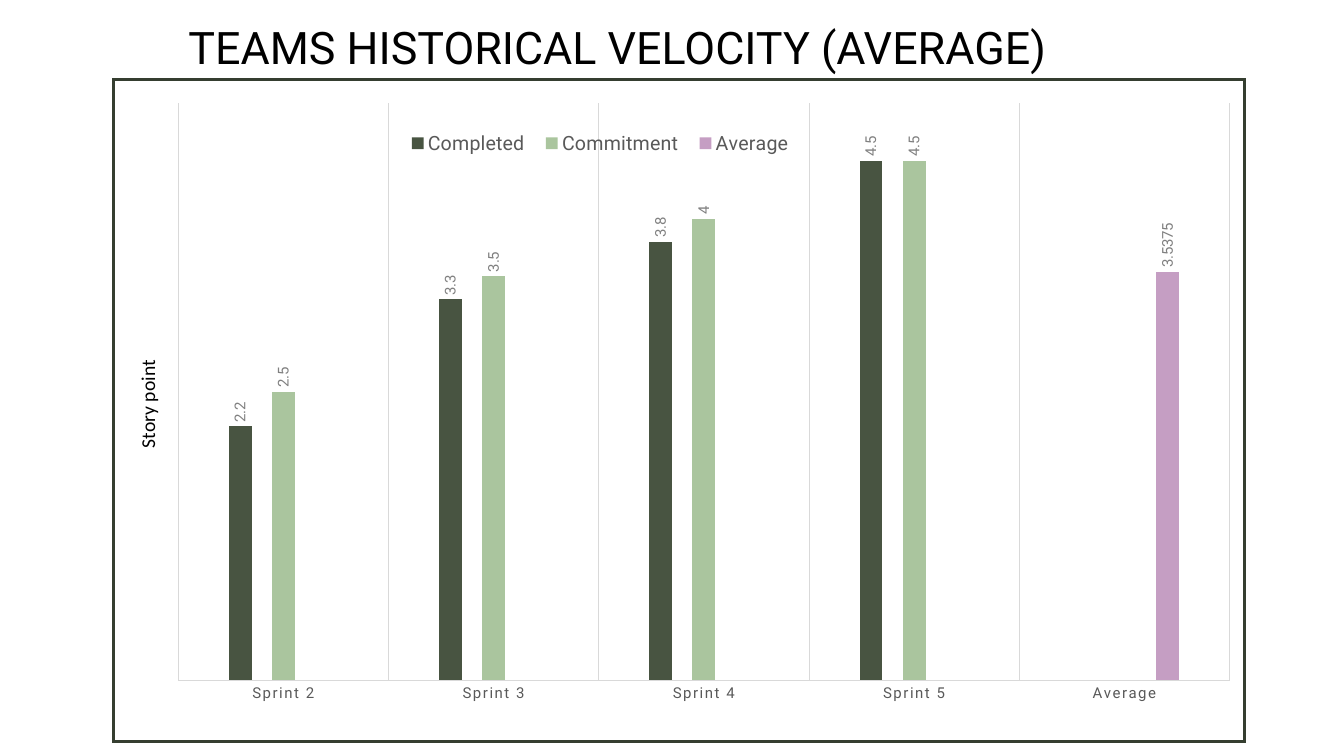
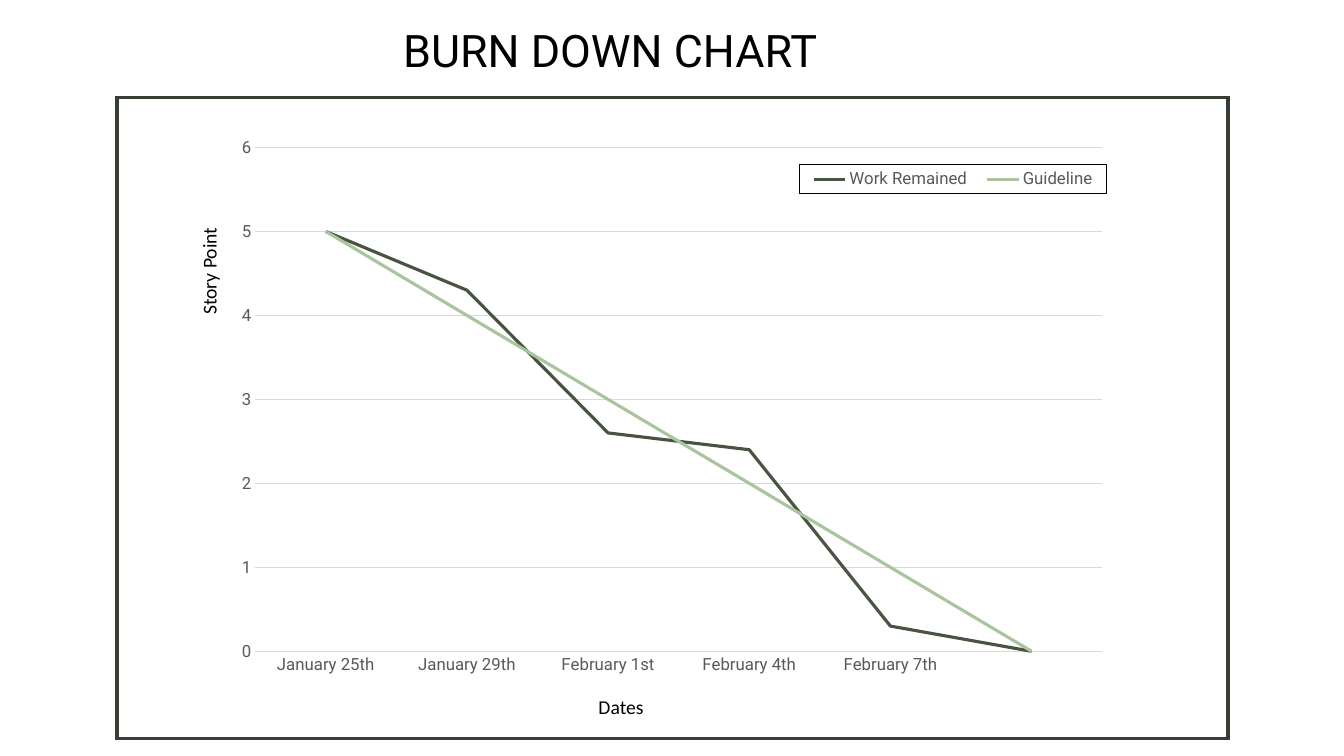
from lxml.etree import SubElement
from pptx import Presentation
from pptx.chart.data import CategoryChartData as Data
from pptx.dml.color import RGBColor
from pptx.enum.chart import XL_CHART_TYPE as Kind
from pptx.enum.chart import XL_LABEL_POSITION as Spot
from pptx.enum.chart import XL_LEGEND_POSITION as Side
from pptx.enum.chart import XL_TICK_MARK as Tick
from pptx.enum.shapes import MSO_SHAPE as Shape
from pptx.enum.text import PP_ALIGN as Align
from pptx.oxml.ns import qn
from pptx.util import Inches, Pt

WHITE, BLACK, FRAME = "FFFFFF", "000000", "353E30"
DARK, LIGHT, PINK = "485441", "AAC59E", "C59EC3"
GREY, RULE, SOFT = "595959", "D9D9D9", "808080"

TITLE = {"name": "Roboto", "size": 32, "color": BLACK}
NOTE = {"name": "Calibri", "size": 14, "color": BLACK}
BASE = {"name": "Roboto", "size": 10, "color": BLACK}
VALUE = {"name": "Roboto", "size": 10.64, "color": SOFT}

SLIDES = [
    {
        "title": ("TEAMS HISTORICAL VELOCITY (AVERAGE)", (1.77, 0.15, 10.9, 0.64)),
        "frame": (1.13, 0.79, 11.21, 6.57),
        "notes": [("Story point", (0.88, 3.84, 1.17, 0.34), 270)],
        "kind": Kind.COLUMN_CLUSTERED,
        "chart": (1.3, 0.92, 10.9, 6.43),
        "plot": (0.043, 0.016, 0.957, 0.891),
        "cats": ["Sprint 2", "Sprint 3", "Sprint 4", "Sprint 5", "Average"],
        "series": [
            ("Completed", [2.2, 3.3, 3.8, 4.5, None], DARK),
            ("Commitment", [2.5, 3.5, 4, 4.5, None], LIGHT),
            ("Average", [None, None, None, None, 3.5375], PINK),
        ],
        "top": 5,
        "axis": {"name": "Roboto", "size": 10.64, "color": GREY},
        "key": {"name": "Roboto", "size": 14, "color": GREY},
        "side": Side.TOP,
        "spot": (0.242, 0.048, 0.37, 0.06),
    },
    {
        "title": ("BURN DOWN CHART", (3.9, 0.18, 4.92, 0.64)),
        "frame": (1.16, 0.97, 11.02, 6.36),
        "notes": [
            ("Story Point", (1.39, 2.52, 1.37, 0.34), 270),
            ("Dates", (5.83, 6.84, 0.66, 0.34), 0),
        ],
        "kind": Kind.LINE,
        "chart": (2.22, 1.25, 8.89, 5.93),
        "plot": (0.035, 0.036, 0.945, 0.843),
        "cats": ["January 25th", "January 29th", "February 1st",
                 "February 4th", "February 7th", ""],
        "series": [
            ("Work Remained", [5, 4.3, 2.6, 2.4, 0.3, 0], DARK),
            ("Guideline", [5, 4, 3, 2, 1, 0], LIGHT),
        ],
        "top": 6,
        "axis": {"name": "Roboto", "size": 12, "color": GREY},
        "key": {"name": "Roboto", "size": 12, "color": GREY},
        "side": Side.BOTTOM,
        "spot": (0.642, 0.065, 0.343, 0.048),
    },
]


def tint(code):
    return RGBColor.from_string(code)


def style(font, look):
    for key, val in look.items():
        if key == "color":
            font.color.rgb = tint(val)
        else:
            setattr(font, key, Pt(val) if key == "size" else val)


def stroke(line, code, width):
    line.color.rgb = tint(code)
    line.width = Pt(width)


def write(slide, words, box, look, turn=0, wrap=False):
    shape = slide.shapes.add_textbox(*map(Inches, box))
    shape.rotation = turn
    shape.text_frame.word_wrap = wrap
    para = shape.text_frame.paragraphs[0]
    para.alignment = Align.LEFT if wrap else Align.CENTER
    run = para.add_run()
    run.text = words
    style(run.font, look)


def place(node, index, box, inner=False):
    for old in node.findall(qn("c:layout")):
        node.remove(old)
    lay = SubElement(node, qn("c:layout"))
    node.insert(index, lay)
    man = SubElement(lay, qn("c:manualLayout"))
    pairs = [("layoutTarget", "inner")] if inner else []
    pairs += [("xMode", "edge"), ("yMode", "edge"), *zip("xywh", box)]
    for tag, val in pairs:
        SubElement(man, qn("c:" + tag)).set("val", str(val))


def border(node, code, width):
    prop = SubElement(node, qn("c:spPr"))
    node.find(qn("c:txPr")).addprevious(prop)
    line = SubElement(prop, qn("a:ln"), w=str(Pt(width)))
    fill = SubElement(line, qn("a:solidFill"))
    SubElement(fill, qn("a:srgbClr"), val=code)


def bars(chart):
    plot = chart.plots[0]
    plot.gap_width, plot.overlap = 444, -90
    chart.value_axis.visible = False
    chart.value_axis.has_major_gridlines = False
    cat = chart.category_axis
    cat.has_major_gridlines = True
    stroke(cat.major_gridlines.format.line, RULE, 0.75)
    cat._element.find(".//" + qn("a:defRPr")).set("spc", "120")
    for item in plot.series:
        tags = item.data_labels
        tags.show_value = True
        tags.position = Spot.OUTSIDE_END
        style(tags.font, VALUE)
        body = tags._element.find(".//" + qn("a:bodyPr"))
        body.set("rot", "-5400000")
        body.set("vert", "horz")


def lines(chart):
    val = chart.value_axis
    val.format.line.fill.background()
    val.has_major_gridlines = True
    stroke(val.major_gridlines.format.line, RULE, 0.75)
    border(chart.legend._element, BLACK, 0.75)


def graph(slide, page):
    data = Data()
    data.categories = page["cats"]
    for name, vals, _ in page["series"]:
        data.add_series(name, vals)
    box = map(Inches, page["chart"])
    chart = slide.shapes.add_chart(page["kind"], *box, data).chart
    chart.has_title = False
    style(chart.font, BASE)
    plot = chart.plots[0]
    plot.vary_by_categories = False
    is_line = page["kind"] == Kind.LINE
    for item, (_, _, code) in zip(plot.series, page["series"]):
        if is_line:
            item.smooth = False
            stroke(item.format.line, code, 2.25)
        else:
            item.format.fill.solid()
            item.format.fill.fore_color.rgb = tint(code)
    for axis in (chart.category_axis, chart.value_axis):
        axis.major_tick_mark = axis.minor_tick_mark = Tick.NONE
        style(axis.tick_labels.font, page["axis"])
    stroke(chart.category_axis.format.line, RULE, 0.75)
    scale = {"minimum_scale": 0, "maximum_scale": page["top"], "major_unit": 1}
    for key, val in scale.items():
        setattr(chart.value_axis, key, val)
    chart.has_legend = True
    key = chart.legend
    key.position = page["side"]
    key.include_in_layout = False
    style(key.font, page["key"])
    place(key._element, 1, page["spot"])
    area = chart._chartSpace.find(".//" + qn("c:plotArea"))
    place(area, 0, page["plot"], True)
    (lines if is_line else bars)(chart)


def build(deck, page):
    slide = deck.slides.add_slide(deck.slide_layouts[6])
    back = slide.background.fill
    back.solid()
    back.fore_color.rgb = tint(WHITE)
    write(slide, *page["title"], TITLE, wrap=True)
    frame = slide.shapes.add_shape(Shape.RECTANGLE, *map(Inches, page["frame"]))
    frame.shadow.inherit = False
    frame.fill.background()
    stroke(frame.line, FRAME, 2.25)
    edge = frame._element.spPr.find(qn("a:ln"))
    SubElement(edge, qn("a:miter"), lim="800000")
    graph(slide, page)
    for words, box, turn in page["notes"]:
        write(slide, words, box, NOTE, turn)


def main():
    deck = Presentation()
    deck.slide_width, deck.slide_height = Inches(13.33), Inches(7.5)
    for page in SLIDES:
        build(deck, page)
    deck.save("out.pptx")


if __name__ == "__main__":
    main()
